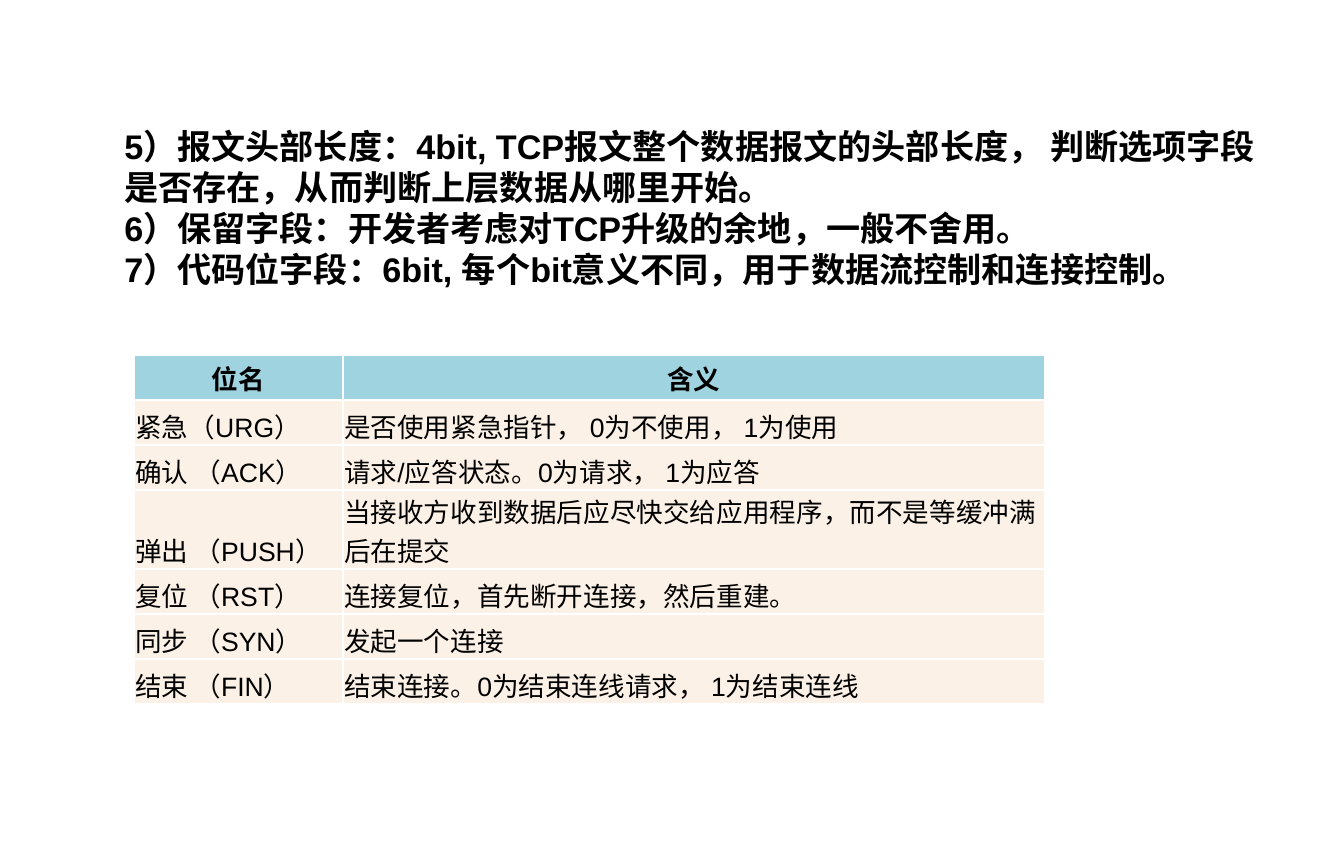
from lxml.etree import SubElement
from pptx import Presentation
from pptx.dml.color import RGBColor
from pptx.enum.text import MSO_ANCHOR as Anchor, MSO_AUTO_SIZE as AutoSize, PP_ALIGN as Align
from pptx.oxml.ns import qn
from pptx.util import Inches, Pt

BLACK = RGBColor(0x00, 0x00, 0x00)
WHITE = RGBColor(0xFF, 0xFF, 0xFF)
HEADER_BLUE = RGBColor(0xA0, 0xD3, 0xE0)
ROW_CREAM = RGBColor(0xFC, 0xF1, 0xE7)
FONT = "Arial"

FIELDS = [
    "5）报文头部长度：4bit, TCP报文整个数据报文的头部长度， 判断选项字段是否存在，从而判断上层数据从哪里开始。",
    "6）保留字段：开发者考虑对TCP升级的余地，一般不舍用。",
    "7）代码位字段：6bit, 每个bit意义不同，用于数据流控制和连接控制。",
]
FLAGS = [
    ("位名", "含义"),
    ("紧急（URG）", "是否使用紧急指针， 0为不使用， 1为使用"),
    ("确认 （ACK）", "请求/应答状态。0为请求， 1为应答"),
    ("弹出 （PUSH）", "当接收方收到数据后应尽快交给应用程序，而不是等缓冲满后在提交"),
    ("复位 （RST）", "连接复位，首先断开连接，然后重建。"),
    ("同步 （SYN）", "发起一个连接"),
    ("结束 （FIN）", "结束连接。0为结束连线请求， 1为结束连线"),
]
COLUMN_WIDTHS = (1.53, 5.14)
ROW_HEIGHT, TALL_ROW_HEIGHT, TALL_ROW = 0.33, 0.57, 3


def add_run(para, text, size, bold):
    run = para.add_run()
    run.text = text
    run.font.name = FONT
    run.font.size = Pt(size)
    run.font.bold = bold
    run.font.color.rgb = BLACK


def fill_field_list(body, box):
    body.left, body.top, body.width, body.height = map(Inches, box)
    frame = body.text_frame
    frame.word_wrap = True
    frame.auto_size = AutoSize.NONE
    frame.vertical_anchor = Anchor.TOP
    for index, text in enumerate(FIELDS):
        para = frame.paragraphs[0] if index == 0 else frame.add_paragraph()
        para.alignment = Align.LEFT
        para.line_spacing = 1.0
        para.space_before = para.space_after = Pt(0)
        properties = para._p.get_or_add_pPr()
        properties.set("marL", "0")
        properties.set("indent", "0")
        SubElement(properties, qn("a:buNone"))
        add_run(para, text, 18, True)


def set_borders(cell, color, width):
    properties = cell._tc.get_or_add_tcPr()
    for side in ("lnL", "lnR", "lnT", "lnB"):
        line = SubElement(properties, qn(f"a:{side}"), w=str(Pt(width)))
        solid = SubElement(line, qn("a:solidFill"))
        SubElement(solid, qn("a:srgbClr"), val=str(color))


def style_cell(cell, text, is_header):
    set_borders(cell, WHITE, 1)
    cell.fill.solid()
    cell.fill.fore_color.rgb = HEADER_BLUE if is_header else ROW_CREAM
    cell.margin_left = cell.margin_right = cell.margin_top = Inches(0.01)
    cell.margin_bottom = 0
    cell.vertical_anchor = Anchor.MIDDLE if is_header else Anchor.BOTTOM
    para = cell.text_frame.paragraphs[0]
    para.alignment = Align.CENTER if is_header else Align.LEFT
    add_run(para, text, 14, is_header)


def add_flag_table(page, left, top):
    heights = [TALL_ROW_HEIGHT if row == TALL_ROW else ROW_HEIGHT for row in range(len(FLAGS))]
    table = page.shapes.add_table(
        len(FLAGS), len(COLUMN_WIDTHS), Inches(left), Inches(top),
        Inches(sum(COLUMN_WIDTHS)), Inches(sum(heights))).table
    for column, width in zip(table.columns, COLUMN_WIDTHS):
        column.width = Inches(width)
    for row, height in zip(table.rows, heights):
        row.height = Inches(height)
    for row, texts in enumerate(FLAGS):
        for column, text in enumerate(texts):
            style_cell(table.cell(row, column), text, row == 0)


def main():
    deck = Presentation()
    deck.slide_width, deck.slide_height = Inches(9.84), Inches(6.3)
    page = deck.slides.add_slide(deck.slide_layouts[1])
    title = page.shapes.title
    title.element.getparent().remove(title.element)
    fill_field_list(page.placeholders[1], (0.81, 0.87, 8.68, 1.62))
    add_flag_table(page, 0.98, 2.6)
    deck.save("out.pptx")


if __name__ == "__main__":
    main()
